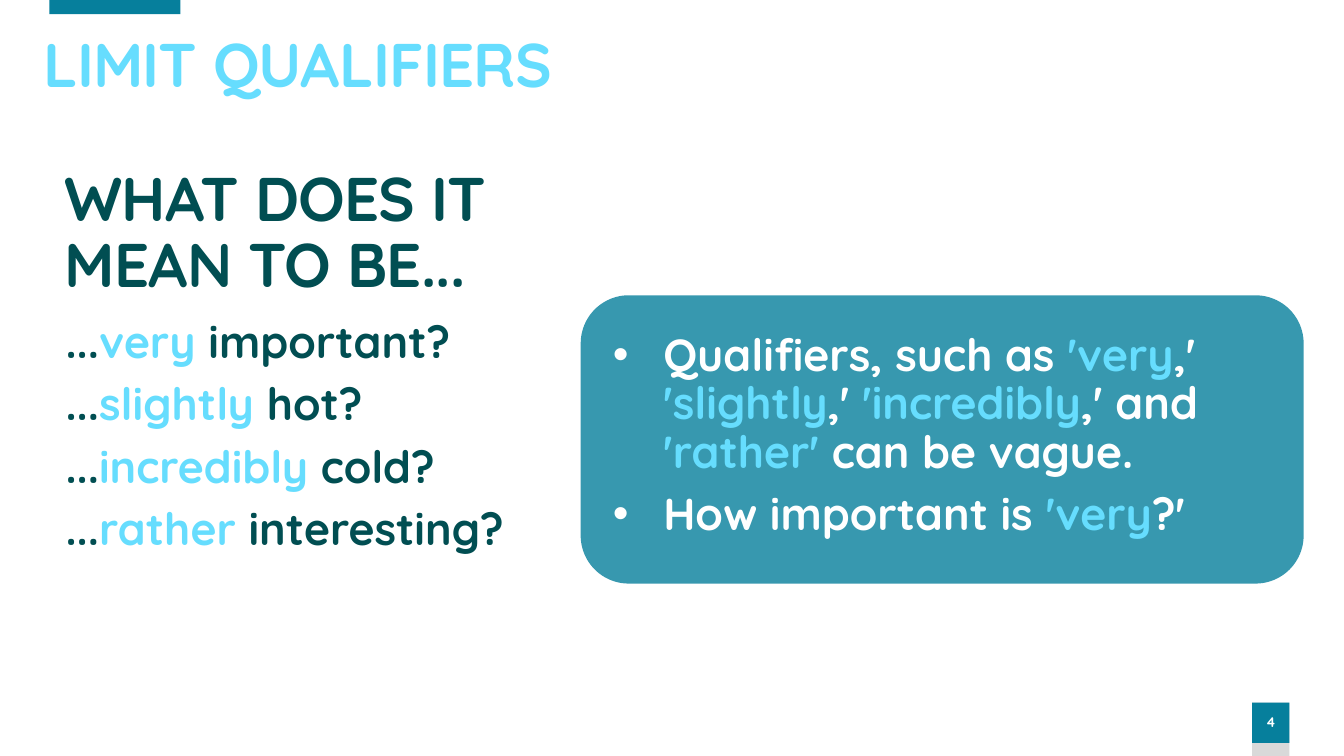
from dataclasses import dataclass

from lxml.etree import SubElement
from pptx import Presentation
from pptx.dml.color import RGBColor
from pptx.enum.shapes import MSO_SHAPE as Kind
from pptx.enum.text import MSO_ANCHOR as Anchor, MSO_AUTO_SIZE as Fit, PP_ALIGN as Align
from pptx.oxml.ns import qn
from pptx.shapes.autoshape import Shape
from pptx.slide import Slide
from pptx.util import Inches, Pt

TEAL, DARK, SKY, WHITE, GREY = "067F9C", "014E52", "66DDFE", "FFFFFF", "D9D9D9"
Area = tuple[float, float, float, float]


@dataclass
class Block:
    area: Area
    kind: Kind
    fill: str
    alpha: int = 100


@dataclass
class Copy:
    """Lines of text; words between asterisks take the accent colour."""
    lines: list[str]
    color: str
    size: int = 32
    track: int = 0
    bullet: bool = False
    align: Align = Align.LEFT
    anchor: Anchor = Anchor.TOP
    side: float = 0.1


def paint(target, color: str) -> None:
    target.rgb = RGBColor.from_string(color)


def apply(target, values: dict) -> None:
    for name, value in values.items():
        setattr(target, name, value)


def place(shape: Shape, area: Area) -> None:
    names = ("left", "top", "width", "height")
    apply(shape, dict(zip(names, map(Inches, area))))


def draw(slide: Slide, block: Block) -> Shape:
    shape = slide.shapes.add_shape(block.kind, *map(Inches, block.area))
    shape.shadow.inherit = False
    shape.line.fill.background()
    shape.fill.solid()
    paint(shape.fill.fore_color, block.fill)
    if block.alpha < 100:
        tint = shape.fill._xPr.find(f".//{qn('a:srgbClr')}")
        SubElement(tint, qn("a:alpha"), val=str(block.alpha * 1000))
    return shape


def write(shape: Shape, copy: Copy) -> None:
    frame = shape.text_frame
    apply(frame, {
        "word_wrap": True, "auto_size": Fit.NONE, "vertical_anchor": copy.anchor,
        "margin_left": Inches(copy.side), "margin_right": Inches(copy.side),
        "margin_top": Inches(0.05), "margin_bottom": Inches(0.05),
    })
    for row, line in enumerate(copy.lines):
        para = frame.add_paragraph() if row else frame.paragraphs[0]
        apply(para, {"alignment": copy.align, "line_spacing": 0.9,
                     "space_before": Pt(10 if row else 0)})
        props = para._p.get_or_add_pPr()
        hang = Inches(0.5) if copy.bullet else 0
        props.set("marL", str(hang))
        props.set("indent", str(-hang))
        if copy.bullet:
            SubElement(props, qn("a:buFont"), typeface="Arial")
            SubElement(props, qn("a:buChar"), char="•")
        else:
            SubElement(props, qn("a:buNone"))
        for part, words in enumerate(line.split("*")):
            if not words:
                continue
            run = para.add_run()
            run.text = words
            apply(run.font, {"name": "Quicksand", "size": Pt(copy.size), "bold": True})
            paint(run.font.color, SKY if part % 2 else copy.color)
            if copy.track:
                run._r.get_or_add_rPr().set("spc", str(copy.track))


def add_text(slide: Slide, area: Area, copy: Copy) -> None:
    write(slide.shapes.add_textbox(*map(Inches, area)), copy)


def main() -> None:
    deck = Presentation()
    apply(deck, {"slide_width": Inches(13.33), "slide_height": Inches(7.5)})
    slide = deck.slides.add_slide(deck.slide_layouts[1])
    head, body = slide.placeholders

    # Top accent bar
    draw(slide, Block((0.49, 0, 1.3, 0.14), Kind.RECTANGLE, TEAL))

    # Question and its examples
    place(head, (0.54, 1.61, 5.65, 1.43))
    write(head, Copy(["WHAT DOES IT MEAN TO BE..."], DARK, 44, -60, anchor=Anchor.MIDDLE))
    place(body, (0.55, 3.12, 5.52, 0.37))
    pairs = {"very": "important", "slightly": "hot",
             "incredibly": "cold", "rather": "interesting"}
    write(body, Copy([f"...*{word} *{trait}?" for word, trait in pairs.items()], DARK))

    # Page number
    draw(slide, Block((12.42, 6.97, 0.37, 0.53), Kind.RECTANGLE, GREY))
    badge = draw(slide, Block((12.42, 6.97, 0.37, 0.4), Kind.RECTANGLE, TEAL))
    write(badge, Copy(["4"], WHITE, 10, align=Align.CENTER, anchor=Anchor.MIDDLE, side=0))

    # Panel on vague qualifiers
    draw(slide, Block((5.76, 2.93, 7.17, 2.86), Kind.ROUNDED_RECTANGLE, TEAL, 80))
    add_text(slide, (5.98, 3.25, 7.09, 0.47), Copy([
        "Qualifiers, such as *'very*,' *'slightly*,' *'incredibly*,' and "
        "*'rather' *can be vague.",
        "How important is *'very*?'",
    ], WHITE, bullet=True))

    # Section heading
    add_text(slide, (0.33, 0.29, 5.65, 0.77),
             Copy(["LIMIT QUALIFIERS"], SKY, 44, -60, anchor=Anchor.MIDDLE))

    deck.save("out.pptx")


if __name__ == "__main__":
    main()
